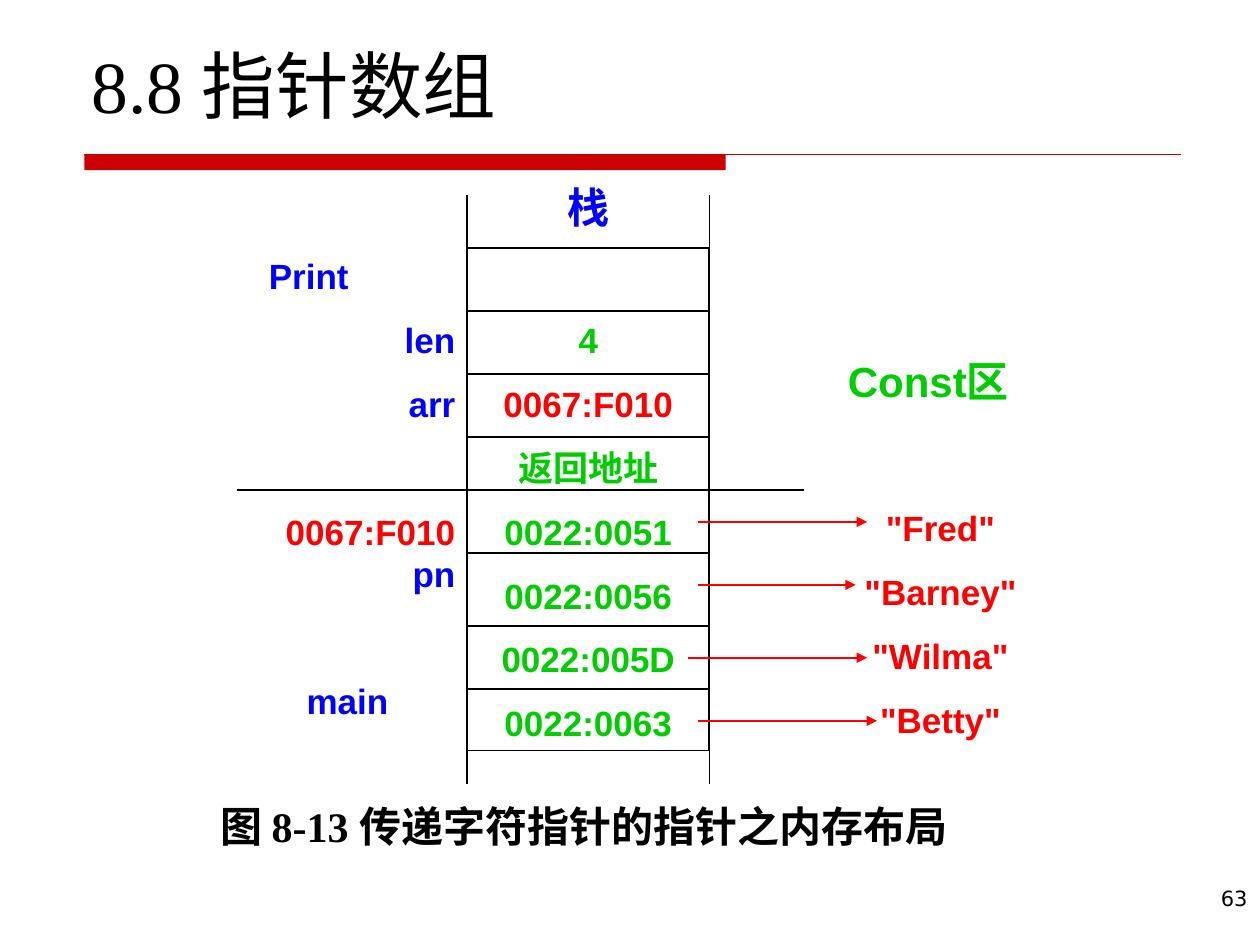
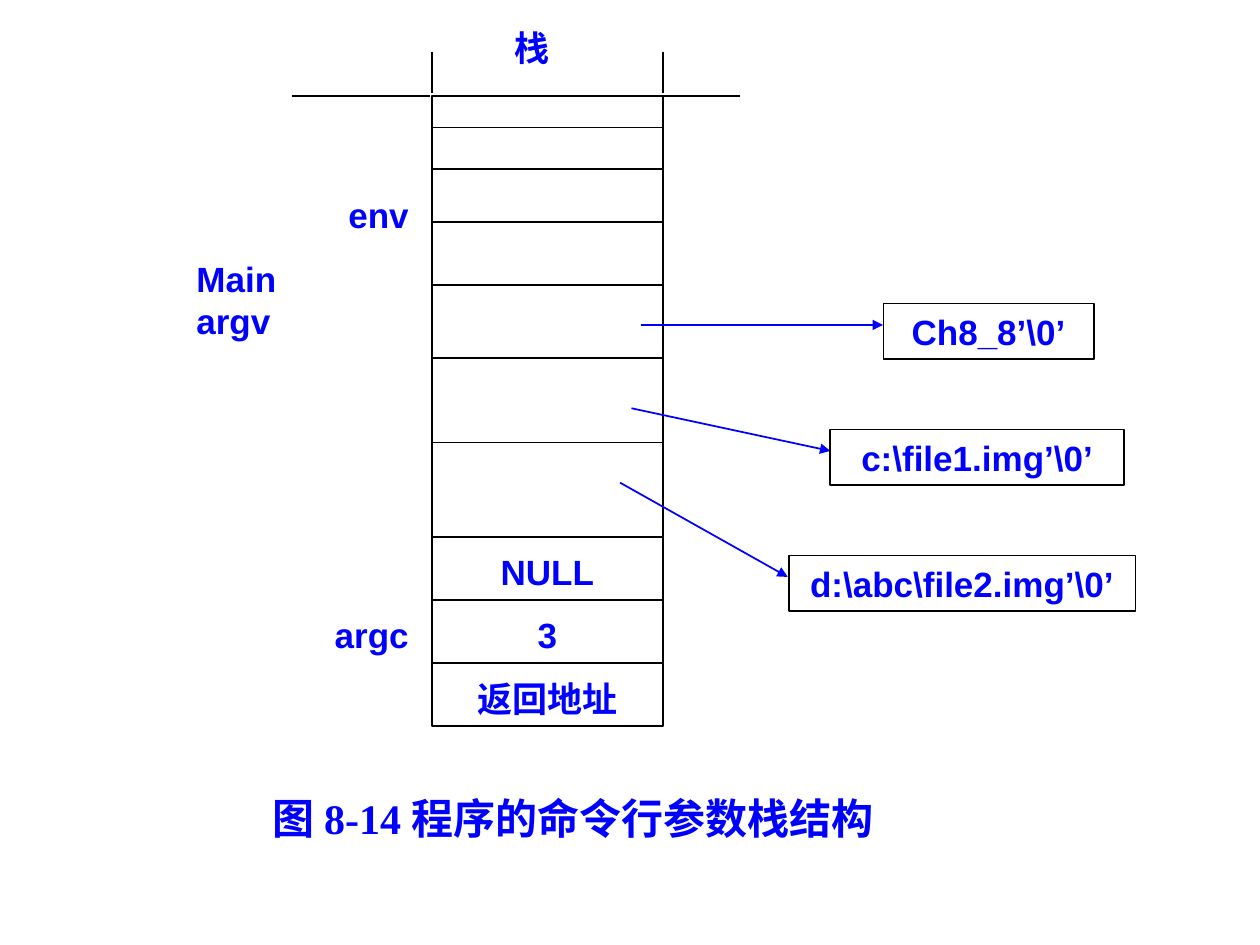
"""Builds two slides of memory layout diagrams: an array of pointers and command line arguments."""
import pptx
import pptx.dml.color
import pptx.enum.shapes
import pptx.enum.text
import pptx.oxml
import pptx.util
from pptx.util import Cm, Pt

RGB = pptx.dml.color.RGBColor
SHAPE = pptx.enum.shapes.MSO_SHAPE
ANCHOR = pptx.enum.text.MSO_ANCHOR
ALIGN = pptx.enum.text.PP_ALIGN
LEFT, CENTER, RIGHT = ALIGN.LEFT, ALIGN.CENTER, ALIGN.RIGHT

BLACK = RGB(0x00, 0x00, 0x00)
BLUE = RGB(0x00, 0x00, 0xFF)
RED = RGB(0xFF, 0x00, 0x00)
GREEN = RGB(0x00, 0xCC, 0x00)
BAND = RGB(0xCC, 0x00, 0x00)

SANS, SERIF, NUMBER = "Arial", "Times New Roman", "DejaVu Sans"
LINE_PT, GAP_PT = 24, 12.5
ROW_CM = 1.29
INSET_X, INSET_Y = 0.25, 0.13

POINTERS = {
    "stack": (9.42, 5.0, 4.88, 10.13),
    "dividers": [6.27, 7.54, 8.81, 11.15, 12.62, 13.89],
    "skip": 1,
    "cells": [("4", GREEN), ("0067:F010", RED), ("返回地址", GREEN), ("0022:0051", GREEN),
              ("0022:0056", GREEN), ("0022:005D", GREEN), ("0022:0063", GREEN)],
    "lines": [(4.78, 9.88, 16.21, 9.88)],
    "edges": [(3.94, 5.0), (14.96, 15.8)],
    "arrows": [(14.07, 10.52, 17.48, 10.52), (14.07, 11.79, 17.25, 11.79),
               (13.87, 13.26, 17.48, 13.26), (14.07, 14.53, 17.68, 14.53)],
    "arrow_color": RED,
}
CALLER_LABELS = [
    {"runs": [("Print", BLUE)], "align": LEFT, "indent": 0.39},
    {"runs": [("len", BLUE)]},
    {"runs": [("arr", BLUE)]},
    {"runs": [("0067:F010", RED), (" pn", BLUE)], "skip": 1},
    {"runs": [("main", BLUE)], "align": LEFT, "indent": 1.15, "skip": 1},
]
NAMES = ['"Fred"', '"Barney"', '"Wilma"', '"Betty"']

ARGUMENTS = {
    "stack": (8.71, 1.93, 4.65, 12.7),
    "dividers": [2.57, 3.4, 4.47, 5.74, 7.21, 8.92, 10.82, 12.09, 13.36],
    "skip": 7,
    "cells": [("NULL", BLUE), ("3", BLUE), ("返回地址", BLUE)],
    "lines": [(5.89, 1.93, 8.66, 1.93), (13.31, 1.93, 14.91, 1.93)],
    "edges": [(1.04, 1.88)],
    "arrows": [(12.93, 6.55, 17.8, 6.55), (12.73, 8.23, 16.74, 9.09),
               (12.5, 9.73, 15.88, 11.63)],
    "arrow_color": BLUE,
}
MAIN_LABELS = [
    {"runs": [("env", BLUE)]},
    {"runs": [("Main\vargv", BLUE)], "align": LEFT},
]
STRINGS = [("Ch8_8’\\0’", 17.81, 4.24), ("c:\\file1.img’\\0’", 16.74, 5.92),
           ("d:\\abc\\file2.img’\\0’", 15.9, 6.99)]
STRINGS_TOP, STRINGS_STEP, STRING_HEIGHT = 6.12, 2.54, 1.12


def add_run(p, text, color, size, font, bold):
    r = p.add_run()
    r.text = text
    r.font.size, r.font.name, r.font.bold = Pt(size), font, bold
    r.font.color.rgb = color


def fill_rows(sp, rows, align=CENTER, skip=0):
    """Write evenly spaced rows of labels, leaving out the first skip rows."""
    tf = set_frame(sp, top=INSET_Y + skip * ROW_CM)
    for i, row in enumerate(rows):
        p = tf.paragraphs[0] if i == 0 else tf.add_paragraph()
        p.alignment = row.get("align", align)
        p.line_spacing = Pt(LINE_PT)
        if i:
            p.space_before = Pt(GAP_PT + row.get("skip", 0) * (LINE_PT + GAP_PT))
        if "indent" in row:
            p._p.get_or_add_pPr().set("marL", str(Cm(row["indent"])))
        for text, color in row["runs"]:
            for j, part in enumerate(text.split("\v")):
                if j:
                    p.add_line_break()
                add_run(p, part, color, 20, SANS, True)


def set_frame(sp, top=INSET_Y, anchor=ANCHOR.TOP):
    tf = sp.text_frame
    tf.word_wrap = True
    tf.vertical_anchor = anchor
    tf.margin_left = tf.margin_right = Cm(INSET_X)
    tf.margin_top, tf.margin_bottom = Cm(top), Cm(INSET_Y)
    return tf


def add_box(s, *box):
    return s.shapes.add_textbox(*map(Cm, box))


def add_label(s, box, text, color, size, font=SERIF, bold=True, align=CENTER, anchor=ANCHOR.TOP):
    p = set_frame(add_box(s, *box), anchor=anchor).paragraphs[0]
    p.alignment = align
    add_run(p, text, color, size, font, bold)


def add_rect(s, *box, fill=None):
    sp = s.shapes.add_shape(SHAPE.RECTANGLE, *map(Cm, box))
    sp.shadow.inherit = False
    if fill is None:
        sp.fill.background()
        sp.line.color.rgb, sp.line.width = BLACK, Pt(1)
    else:
        sp.fill.solid()
        sp.fill.fore_color.rgb = fill
        sp.line.fill.background()
    return sp


def add_line(s, ends, color=BLACK, width=1, arrow=False):
    c = s.shapes.add_connector(pptx.enum.shapes.MSO_CONNECTOR.STRAIGHT, *map(Cm, ends))
    c.line.color.rgb, c.line.width = color, Pt(width)
    if arrow:
        tail = pptx.oxml.parse_xml(
            '<a:tailEnd xmlns:a="http://schemas.openxmlformats.org/drawingml/2006/main"'
            ' type="triangle"/>')
        c.line._get_or_add_ln().append(tail)
    c._element.spPr.append(pptx.oxml.parse_xml(
        '<a:effectLst xmlns:a="http://schemas.openxmlformats.org/drawingml/2006/main"/>'))


def draw_stack(s, d):
    x, y, w, h = d["stack"]
    right = x + w
    rows = [{"runs": [cell]} for cell in d["cells"]]
    fill_rows(add_rect(s, x, y, w, h), rows, skip=d["skip"])
    dividers = [(x, at, right, at) for at in d["dividers"]]
    sides = [(side, top, side, bottom) for top, bottom in d["edges"] for side in (x, right)]
    for ends in dividers + sides + d["lines"]:
        add_line(s, ends)
    for ends in d["arrows"]:
        add_line(s, ends, d["arrow_color"], arrow=True)


def pointers_slide(s):
    add_rect(s, 1.7, 3.12, 12.93, 0.31, fill=BAND)
    add_line(s, (1.7, 3.12, 23.8, 3.12), BAND, 0.75)
    add_label(s, (1.6, 0.84, 22.23, 1.88), "8.8 指针数组", BLACK, 42, bold=False,
              align=LEFT, anchor=ANCHOR.BOTTOM)
    draw_stack(s, POINTERS)
    fill_rows(add_box(s, 4.78, 5.0, 4.65, 9.68), CALLER_LABELS, RIGHT)
    fill_rows(add_box(s, 16.84, 10.08, 4.24, 6.25), [{"runs": [(n, RED)]} for n in NAMES])
    add_label(s, (10.06, 3.53, 3.61, 1.27), "栈", BLUE, 24)
    add_label(s, (16.71, 7.04, 4.01, 1.27), "Const区", GREEN, 24, SANS)
    add_label(s, (3.51, 16.0, 16.51, 1.27), "图 8-13 传递字符指针的指针之内存布局", BLACK, 24)
    add_label(s, (19.96, 17.73, 5.44, 1.32), "63", BLACK, 12, NUMBER, False, RIGHT)


def arguments_slide(s):
    draw_stack(s, ARGUMENTS)
    for i, (text, x, w) in enumerate(STRINGS):
        sp = add_rect(s, x, STRINGS_TOP + i * STRINGS_STEP, w, STRING_HEIGHT)
        fill_rows(sp, [{"runs": [(text, BLUE)]}])
    fill_rows(add_box(s, 3.71, 3.78, 4.78, 4.52), MAIN_LABELS, RIGHT)
    fill_rows(add_box(s, 6.48, 12.24, 2.01, 1.12), [{"runs": [("argc", BLUE)]}], RIGHT)
    add_label(s, (9.55, 0.41, 2.34, 1.12), "栈", BLUE, 20)
    add_label(s, (4.67, 15.85, 13.77, 1.27), "图 8-14 程序的命令行参数栈结构", BLUE, 24)


def main():
    prs = pptx.Presentation()
    prs.slide_width, prs.slide_height = Cm(25.4), Cm(19.05)
    for build in (pointers_slide, arguments_slide):
        build(prs.slides.add_slide(prs.slide_layouts[6]))
    prs.save("out.pptx")


if __name__ == "__main__":
    main()
